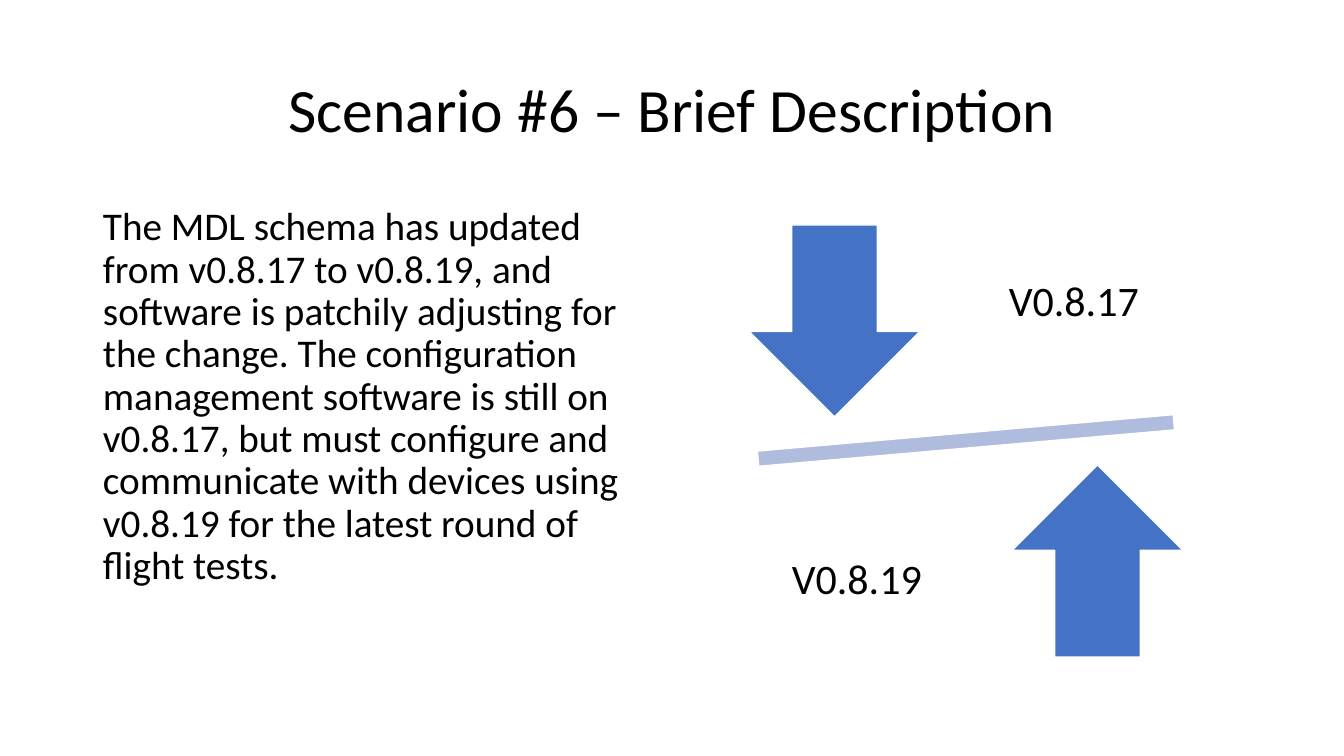
from dataclasses import dataclass

from pptx import Presentation
from pptx.dml.color import RGBColor
from pptx.enum.shapes import MSO_SHAPE
from pptx.enum.text import MSO_ANCHOR, PP_ALIGN
from pptx.util import Emu, Pt


@dataclass(frozen=True)
class Theme:
    """Colours, font and type sizes of the slide."""

    font: str = "Calibri"
    ink: str = "000000"
    outline: str = "FFFFFF"
    arrow: str = "4472C4"
    beam: str = "B0BCDE"
    title_size: int = 44
    body_size: int = 28
    label_size: int = 30


class SlideBuilder:
    """Draws styled elements on one page, measured in px."""

    SCALE = 12192000 / 1344

    def __init__(self, page, theme):
        """Keep the page and its theme."""
        self.page = page
        self.theme = theme

    @classmethod
    def emu(cls, px):
        """Turn px into EMU."""
        return Emu(round(px * cls.SCALE))

    def text(self, wording, bounds, size, align=PP_ALIGN.CENTER,
             anchor=MSO_ANCHOR.MIDDLE, inset=(10, 5)):
        """Add a wrapped text box."""
        box = self.page.shapes.add_textbox(*map(self.emu, bounds))
        frame = box.text_frame
        frame.text = wording
        frame.word_wrap = True
        frame.vertical_anchor = anchor
        frame.margin_left = frame.margin_right = self.emu(inset[0])
        frame.margin_top = frame.margin_bottom = self.emu(inset[1])
        para = frame.paragraphs[0]
        para.alignment = align
        para.line_spacing = 0.9
        font = para.runs[0].font
        font.name = self.theme.font
        font.size = Pt(size)
        font.color.rgb = RGBColor.from_string(self.theme.ink)

    def shape(self, preset, bounds, colour, rotation=0):
        """Add a filled preset shape with a thin outline."""
        shape = self.page.shapes.add_shape(preset, *map(self.emu, bounds))
        shape.shadow.inherit = False
        shape.rotation = rotation
        shape.fill.solid()
        shape.fill.fore_color.rgb = RGBColor.from_string(colour)
        shape.line.color.rgb = RGBColor.from_string(self.theme.outline)
        shape.line.width = Pt(1)

    def version(self, wording, label_at, preset, arrow_at):
        """Add an arrow and the version label across from it."""
        self.shape(preset, (*arrow_at, 171, 192), self.theme.arrow)
        self.text(wording, (*label_at, 182, 202), self.theme.label_size,
                  inset=(23, 23))


def main():
    """Build and save the slide."""
    theme = Theme()
    deck = Presentation()
    deck.slide_width = SlideBuilder.emu(1344)
    deck.slide_height = SlideBuilder.emu(756)
    page = deck.slides.add_slide(deck.slide_layouts[6])
    builder = SlideBuilder(page, theme)

    builder.text("Scenario #6 – Brief Description", (93, 40, 1159, 146),
                 theme.title_size)
    builder.text(
        "The MDL schema has updated from v0.8.17 to v0.8.19, and software is "
        "patchily adjusting for the change. The configuration management "
        "software is still on v0.8.17, but must configure and communicate "
        "with devices using v0.8.19 for the latest round of flight tests.",
        (93, 202, 572, 480), theme.body_size, PP_ALIGN.LEFT, MSO_ANCHOR.TOP)
    builder.shape(MSO_SHAPE.MATH_MINUS, (682, 408, 568, 65), theme.beam, 355)
    builder.version("V0.8.17", (983, 202), MSO_SHAPE.DOWN_ARROW, (749, 225))
    builder.version("V0.8.19", (766, 480), MSO_SHAPE.UP_ARROW, (1012, 465))
    deck.save("out.pptx")


if __name__ == "__main__":
    main()
